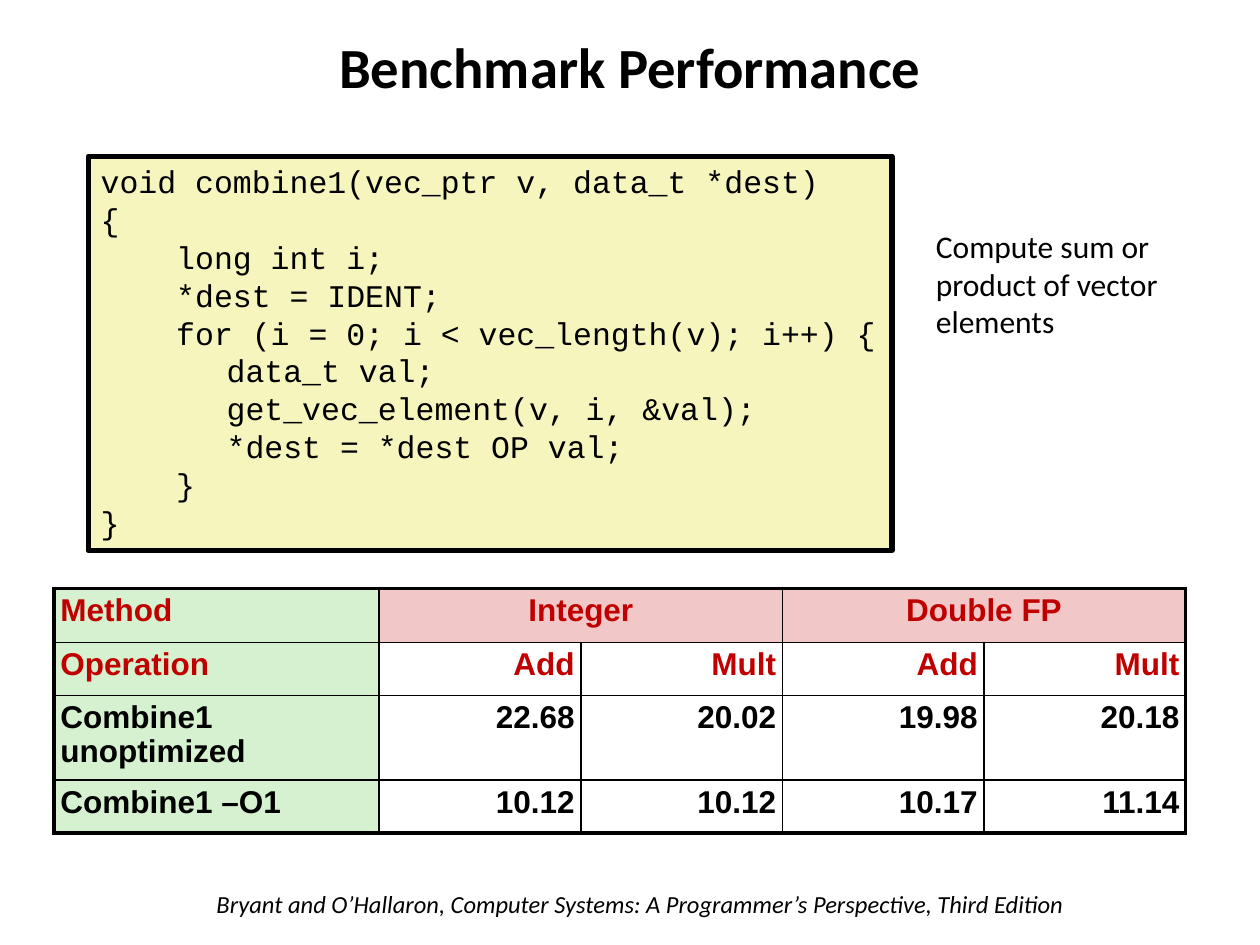
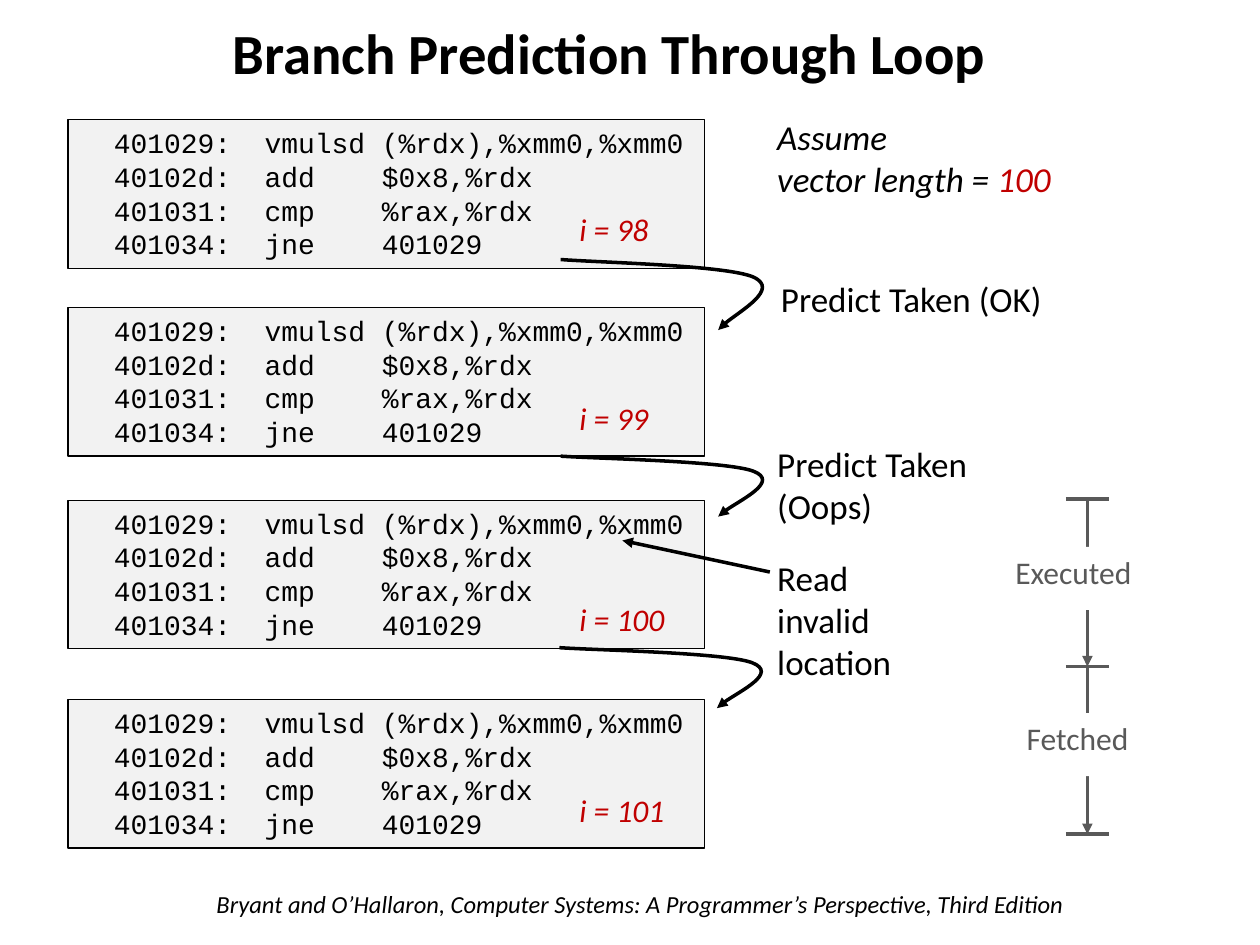
from lxml import etree
from pptx import Presentation
from pptx.dml.color import RGBColor
from pptx.enum import shapes, text
from pptx.oxml import ns
from pptx.util import Inches, Pt

COLORS = {
    "black": "000000", "white": "FFFFFF", "red": "C00000", "gray": "595959",
    "code_yellow": "F6F5BD", "code_gray": "F2F2F2",
    "method_green": "D5F1CF", "type_pink": "F1C7C7",
}
BODY, MONO, TABLE_FONT = "Calibri", "Courier New", "Arial"
LEFT, CENTER, RIGHT = text.PP_ALIGN.LEFT, text.PP_ALIGN.CENTER, text.PP_ALIGN.RIGHT
TOP, MIDDLE = text.MSO_ANCHOR.TOP, text.MSO_ANCHOR.MIDDLE
FOOTER = ("Bryant and O’Hallaron, Computer Systems: "
          "A Programmer’s Perspective, Third Edition")

COMBINE_CODE = """void combine1(vec_ptr v, data_t *dest)
{
    long int i;
    *dest = IDENT;
    for (i = 0; i < vec_length(v); i++) {
\tdata_t val;
\tget_vec_element(v, i, &val);
\t*dest = *dest OP val;
    }
}""".split("\n")

LOOP_CODE = """  401029:  vmulsd (%rdx),%xmm0,%xmm0
  40102d:  add    $0x8,%rdx
  401031:  cmp    %rax,%rdx
  401034:  jne    401029""".split("\n")

BENCHMARKS = [
    ["Method", "Integer", "", "Double FP", ""],
    ["Operation", "Add", "Mult", "Add", "Mult"],
    ["Combine1 unoptimized", "22.68", "20.02", "19.98", "20.18"],
    ["Combine1 –O1", "10.12", "10.12", "10.17", "11.14"],
]

# Iteration, top of its code block, top of its label
ITERATIONS = [(98, 0.95, 1.62), (99, 2.44, 3.12), (100, 3.97, 4.71), (101, 5.55, 6.23)]
# Start and height of each jump to the next iteration
JUMPS = [(4.45, 2.06, 0.56), (4.45, 3.62, 0.48), (4.44, 5.14, 0.48)]
# Two Bezier segments: x in inches, y as a share of the height
JUMP_CURVE = [(0.26, 0.04), (1.32, 0.08), (1.53, 0.25),
              (1.74, 0.42), (1.31, 0.85), (1.25, 1)]


def rgb(name):
    return RGBColor.from_string(COLORS[name])


def write_text(frame, paragraphs, size=18, font=BODY, color="black", bold=False,
               italic=False, align=LEFT, anchor=TOP, spacing=None, tabs=()):
    """Each paragraph is a string or a list of (text, colour) runs."""
    frame.word_wrap = True
    frame.vertical_anchor = anchor
    for index, content in enumerate(paragraphs):
        paragraph = frame.add_paragraph() if index else frame.paragraphs[0]
        paragraph.alignment = align
        if spacing:
            paragraph.line_spacing = spacing
        if tabs:
            tab_list = etree.SubElement(paragraph._p.get_or_add_pPr(), ns.qn("a:tabLst"))
            for stop in tabs:
                etree.SubElement(tab_list, ns.qn("a:tab"), pos=str(Inches(stop)), algn="l")
        for words, run_color in [(content, color)] if isinstance(content, str) else content:
            run = paragraph.add_run()
            run.text = words
            run.font.name, run.font.size = font, Pt(size)
            run.font.bold, run.font.italic = bold, italic
            run.font.color.rgb = rgb(run_color)


def add_text(slide, box, *paragraphs, **style):
    label = slide.shapes.add_textbox(*map(Inches, box))
    write_text(label.text_frame, paragraphs, **style)


def add_panel(slide, box, paragraphs, fill, border=None, **style):
    panel = slide.shapes.add_shape(shapes.MSO_SHAPE.RECTANGLE, *map(Inches, box))
    panel.shadow.inherit = False
    panel.fill.solid()
    panel.fill.fore_color.rgb = rgb(fill)
    if border:
        panel.line.color.rgb = rgb("black")
        panel.line.width = Pt(border)
    else:
        panel.line.fill.background()
    write_text(panel.text_frame, paragraphs, **style)


def style_stroke(stroke, color, arrow):
    stroke.line.color.rgb = rgb(color)
    stroke.line.width = Pt(2)
    if arrow:
        etree.SubElement(stroke.line._get_or_add_ln(), ns.qn("a:tailEnd"), type="triangle")


def add_line(slide, start, end, color="black", arrow=False):
    line = slide.shapes.add_connector(
        shapes.MSO_CONNECTOR.STRAIGHT, *map(Inches, (*start, *end)))
    style_stroke(line, color, arrow)
    etree.SubElement(line._element.spPr, ns.qn("a:effectLst"))


def add_jump(slide, left, top, height):
    """Draw a curved arrow, turning each three points into a Bezier segment."""
    builder = slide.shapes.build_freeform(Inches(left), Inches(top))
    builder.add_line_segments(
        [(Inches(left + x), Inches(top + y * height)) for x, y in JUMP_CURVE], close=False)
    jump = builder.convert_to_shape()
    jump.shadow.inherit = False
    jump.fill.background()
    style_stroke(jump, "black", arrow=True)
    segments = list(jump._element.iter(ns.qn("a:lnTo")))
    outline = segments[0].getparent()
    for first in range(0, len(segments), 3):
        curve = etree.SubElement(outline, ns.qn("a:cubicBezTo"))
        for segment in segments[first:first + 3]:
            curve.append(segment[0])
            outline.remove(segment)


def set_borders(cell, widths):
    """Widths are in points: left, right, top, bottom."""
    properties = cell._tc.get_or_add_tcPr()
    for index, (side, width) in enumerate(zip("LRTB", widths)):
        border = etree.Element(ns.qn(f"a:ln{side}"), w=str(Pt(width)))
        fill = etree.SubElement(border, ns.qn("a:solidFill"))
        etree.SubElement(fill, ns.qn("a:srgbClr"), val=COLORS["black"])
        properties.insert(index, border)


def add_benchmark_table(slide):
    widths, heights = [2.58] + [1.6] * 4, [0.43, 0.42, 0.67, 0.42]
    table = slide.shapes.add_table(
        len(heights), len(widths), Inches(0.43), Inches(4.67),
        Inches(sum(widths)), Inches(sum(heights))).table
    table.first_row = table.horz_banding = False
    for column, width in zip(table.columns, widths):
        column.width = Inches(width)
    for row, height in zip(table.rows, heights):
        row.height = Inches(height)
    for first in (1, 3):
        table.cell(0, first).merge(table.cell(0, first + 1))

    last_row, last_col = len(heights) - 1, len(widths) - 1
    for r, values in enumerate(BENCHMARKS):
        for c, value in enumerate(values):
            cell = table.cell(r, c)
            cell.margin_left = cell.margin_right = Inches(0.05)
            cell.margin_top = cell.margin_bottom = Inches(0.05)
            cell.fill.solid()
            cell.fill.fore_color.rgb = rgb(
                "method_green" if c == 0 else "type_pink" if r == 0 else "white")
            right_col = c + cell.span_width - 1 if cell.is_merge_origin else c
            outer = (c == 0, right_col == last_col, r == 0, r == last_row)
            set_borders(cell, [2.25 if edge else 1 for edge in outer])
            if value:
                write_text(cell.text_frame, [value], font=TABLE_FONT, bold=True,
                           color="red" if r < 2 else "black", spacing=0.95,
                           align=LEFT if c == 0 else CENTER if r == 0 else RIGHT)


def add_slide(deck, title, title_box):
    slide = deck.slides.add_slide(deck.slide_layouts[6])
    add_text(slide, (1.62, 7.01, 7.1, 0.34), FOOTER, size=14, italic=True)
    add_text(slide, title_box, title, size=32.4, bold=True,
             align=CENTER, anchor=MIDDLE, spacing=0.9)
    return slide


def build_benchmark_slide(deck):
    slide = add_slide(deck, "Benchmark Performance", (0.69, 0.29, 8.62, 0.54))
    add_panel(slide, (0.7, 1.24, 6.38, 3.13), COMBINE_CODE, "code_yellow",
              border=3, font=MONO, tabs=(1, 2.5))
    add_text(slide, (7.33, 1.75, 2.67, 1.01), "Compute sum or product of vector elements")
    add_benchmark_table(slide)


def add_pipeline_span(slide):
    """Draw the executed and fetched ranges beside the code blocks."""
    axis, ticks = 8.63, (3.96, 5.29, 6.62)
    for top, bottom in zip(ticks, ticks[1:]):
        add_line(slide, (axis, top), (axis, bottom), "gray", arrow=True)
    add_panel(slide, (7.96, 4.34, 1.47, 0.5), ["Executed"], "white", color="gray")
    add_panel(slide, (8.05, 5.66, 1.3, 0.5), ["Fetched"], "white", color="gray")
    for tick in ticks:
        add_line(slide, (axis - 0.17, tick), (axis + 0.17, tick), "gray")


def build_branch_slide(deck):
    slide = add_slide(deck, "Branch Prediction Through Loop", (0.54, 0.13, 8.59, 0.63))
    for i, block_top, label_top in ITERATIONS:
        add_panel(slide, (0.54, block_top, 5.05, 1.18), LOOP_CODE, "code_gray",
                  border=0.75, size=16, font=MONO)
        add_text(slide, (4.5, label_top, 1.11, 0.5), f"i = {i}", color="red", italic=True)
    for jump in JUMPS:
        add_jump(slide, *jump)
    add_text(slide, (6.07, 0.87, 2.43, 0.77), "Assume",
             [("vector length = ", "black"), ("100", "red")], size=20, italic=True)
    add_text(slide, (6.1, 2.15, 2.34, 0.44), "Predict Taken (OK)", size=20)
    add_text(slide, (6.07, 3.46, 1.76, 0.77), "Predict Taken", "(Oops)", size=20)
    add_text(slide, (6.07, 4.37, 1.42, 1.11), "Read invalid location", size=20)
    add_line(slide, (6.11, 4.54), (4.94, 4.29), arrow=True)
    add_pipeline_span(slide)


def main():
    deck = Presentation()
    deck.slide_width, deck.slide_height = Inches(10), Inches(7.5)
    build_benchmark_slide(deck)
    build_branch_slide(deck)
    deck.save("out.pptx")


if __name__ == "__main__":
    main()
